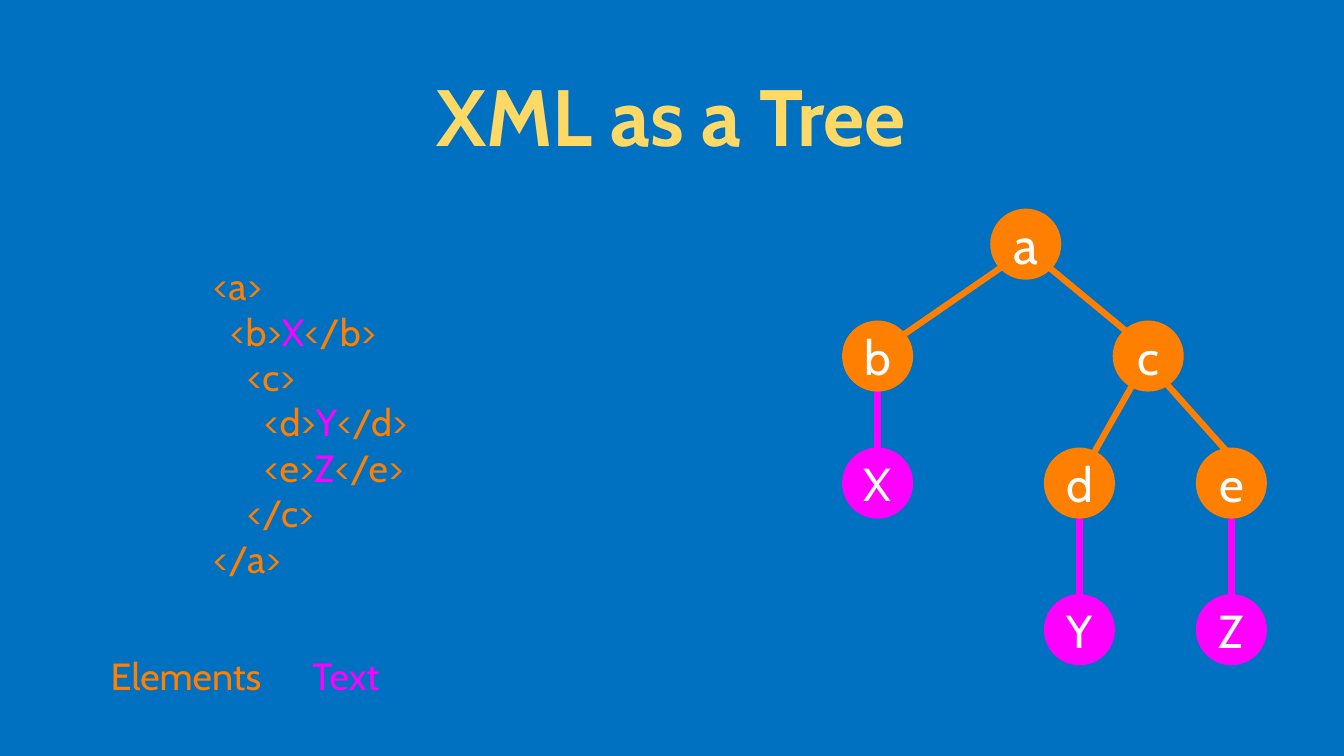
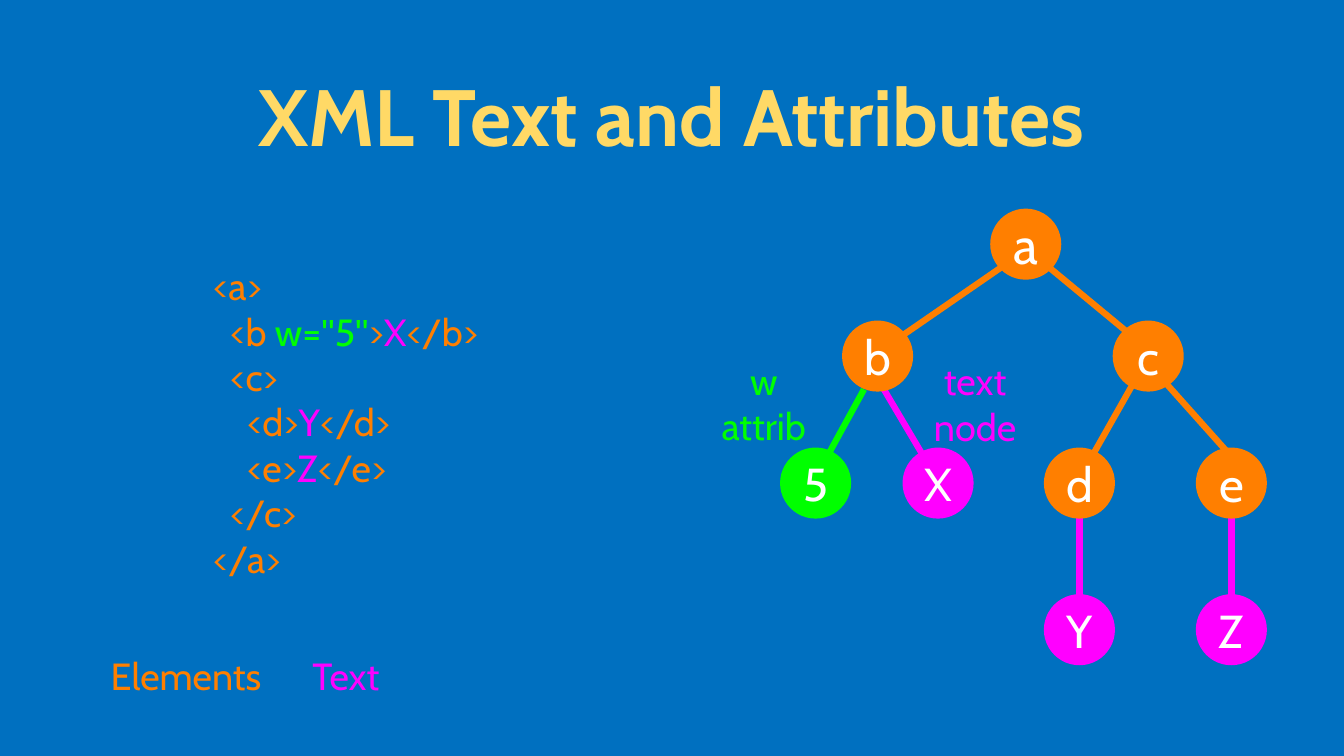
from lxml.etree import SubElement
from pptx import Presentation
from pptx.dml.color import RGBColor
from pptx.enum.shapes import MSO_CONNECTOR, MSO_SHAPE
from pptx.enum.text import MSO_ANCHOR, PP_ALIGN
from pptx.oxml.ns import qn
from pptx.util import Inches, Pt

FONT = "Cabin"
BLUE, GOLD, WHITE = "0070C0", "FFD966", "FFFFFF"
ORANGE, PINK, GREEN = "FF7F00", "FF00FF", "00FF00"
SIZE = 0.94
STEP = 0.225

TREE = [
    ("a", 13.1, 2.76, ORANGE, 49),
    ("b", 11.14, 4.24, ORANGE, 46),
    ("c", 14.72, 4.24, ORANGE, 46),
    ("d", 13.81, 5.92, ORANGE, 46),
    ("e", 15.82, 5.92, ORANGE, 46),
    ("Y", 13.81, 7.86, PINK, 44),
    ("Z", 15.82, 7.86, PINK, 44),
]
EDGES = [
    (13.4, 3.43, 11.82, 4.52, ORANGE),
    (13.81, 3.48, 14.97, 4.44, ORANGE),
    (15.01, 5.04, 14.41, 6.1, ORANGE),
    (15.38, 5.02, 16.22, 5.96, ORANGE),
    (14.28, 6.77, 14.28, 7.9, PINK),
    (16.29, 6.77, 16.29, 7.9, PINK),
]


def color(code):
    """Turn a hex string into a colour."""
    return RGBColor.from_string(code)


def set_para(para, runs, size, align=PP_ALIGN.CENTER, bold=False):
    """Fill a paragraph with (text, colour) runs."""
    para.alignment = align
    para.font.name, para.font.size, para.font.bold = FONT, Pt(size), bold
    shared = len({code for _, code in runs}) == 1
    if shared:
        para.font.color.rgb = color(runs[0][1])
    for text, code in runs:
        run = para.add_run()
        run.text = text
        if not shared:
            run.font.color.rgb = color(code)
        if text == '"':
            run.font.name = "Arial"


def set_frame(frame, inset=0):
    """Give a text frame its wrap, anchor and margins."""
    frame.word_wrap = True
    frame.vertical_anchor = MSO_ANCHOR.MIDDLE
    frame.margin_left = frame.margin_right = Inches(inset)
    frame.margin_top = frame.margin_bottom = Inches(inset)
    return frame


def add_frame(slide, box, inset=0):
    """Add a text box and return its frame."""
    shape = slide.shapes.add_textbox(*map(Inches, box))
    return set_frame(shape.text_frame, inset)


def next_para(frame, index):
    """Return the first paragraph, or a new one after it."""
    return frame.add_paragraph() if index else frame.paragraphs[0]


def add_label(slide, box, lines, code):
    """Add centred lines in one colour."""
    frame = add_frame(slide, box)
    for i, line in enumerate(lines):
        set_para(next_para(frame, i), [(line, code)], 36)


def add_code(slide, width, lines):
    """Add code lines, each a level and its runs."""
    frame = add_frame(slide, (2.82, 3.46, width, 4.24))
    for i, (level, runs) in enumerate(lines):
        para = next_para(frame, i)
        set_para(para, runs, 36, PP_ALIGN.LEFT)
        props = para._p.get_or_add_pPr()
        props.set("marL", str(Inches(level * STEP)))
        props.set("indent", "0")


def add_edge(slide, x1, y1, x2, y2, code):
    """Draw a line between two nodes."""
    ends = map(Inches, (x1, y1, x2, y2))
    line = slide.shapes.add_connector(MSO_CONNECTOR.STRAIGHT, *ends)
    line.line.color.rgb = color(code)
    line.line.width = Pt(6)
    SubElement(line._element.spPr, qn("a:effectLst"))


def add_node(slide, text, left, top, code, size):
    """Draw a round tree node with its letter."""
    box = map(Inches, (left, top, SIZE, SIZE))
    node = slide.shapes.add_shape(MSO_SHAPE.OVAL, *box)
    node.shadow.inherit = False
    node.fill.solid()
    node.fill.fore_color.rgb = color(code)
    node.line.fill.background()
    frame = set_frame(node.text_frame)
    frame.word_wrap = False
    set_para(frame.paragraphs[0], [(text, WHITE)], size)


def add_tree(slide, edges, nodes):
    """Draw the shared tree plus the given edges and nodes."""
    for edge in EDGES + edges:
        add_edge(slide, *edge)
    for node in TREE + nodes:
        add_node(slide, *node)


def add_page(deck, title):
    """Add a slide with its ground, title and colour key."""
    slide = deck.slides.add_slide(deck.slide_layouts[6])
    fill = slide.background.fill
    fill.solid()
    fill.fore_color.rgb = color(BLUE)
    frame = add_frame(slide, (1.26, 0.26, 15.24, 2.51), 0.04)
    set_para(frame.paragraphs[0], [(title, GOLD)], 76, bold=True)
    add_label(slide, (1.3, 8.6, 2.32, 0.68), ["Elements"], ORANGE)
    add_label(slide, (4.07, 8.6, 1.01, 0.68), ["Text"], PINK)
    return slide


def tag(text):
    """Return one markup run as a line."""
    return [(text, ORANGE)]


def leaf(name, text):
    """Return the runs of an element that holds text."""
    return [(f"<{name}>", ORANGE), (text, PINK), (f"</{name}>", ORANGE)]


def nest(level, first):
    """Return the whole code, with c at a level and b's runs given."""
    return [
        (0, tag("<a>")),
        (1, first),
        (level, tag("<c>")),
        (level + 1, leaf("d", "Y")),
        (level + 1, leaf("e", "Z")),
        (level, tag("</c>")),
        (0, tag("</a>")),
    ]


def main():
    """Build both slides and save the deck."""
    deck = Presentation()
    deck.slide_width, deck.slide_height = Inches(17.78), Inches(10)

    slide = add_page(deck, "XML as a Tree")
    add_code(slide, 2.98, nest(2, leaf("b", "X")))
    add_tree(slide, [(11.61, 5.01, 11.61, 6.14, PINK)],
             [("X", 11.14, 5.92, PINK, 44)])

    slide = add_page(deck, "XML Text and Attributes")
    attrib = [(part, GREEN) for part in ("w=", '"', "5", '"')]
    first = tag("<b ") + attrib + tag(">") + [("X", PINK)] + tag("</b>")
    add_code(slide, 4.02, nest(1, first))
    add_tree(slide, [(11.61, 5.01, 12.22, 6.04, PINK),
                     (11.43, 5.15, 10.97, 5.99, GREEN)],
             [("X", 11.94, 5.92, PINK, 44), ("5", 10.32, 5.92, GREEN, 44)])
    add_label(slide, (9.49, 4.7, 1.23, 1.25), ["w", "attrib"], GREEN)
    add_label(slide, (12.33, 4.71, 1.14, 1.25), ["text", "node"], PINK)

    deck.save("out.pptx")


if __name__ == "__main__":
    main()
